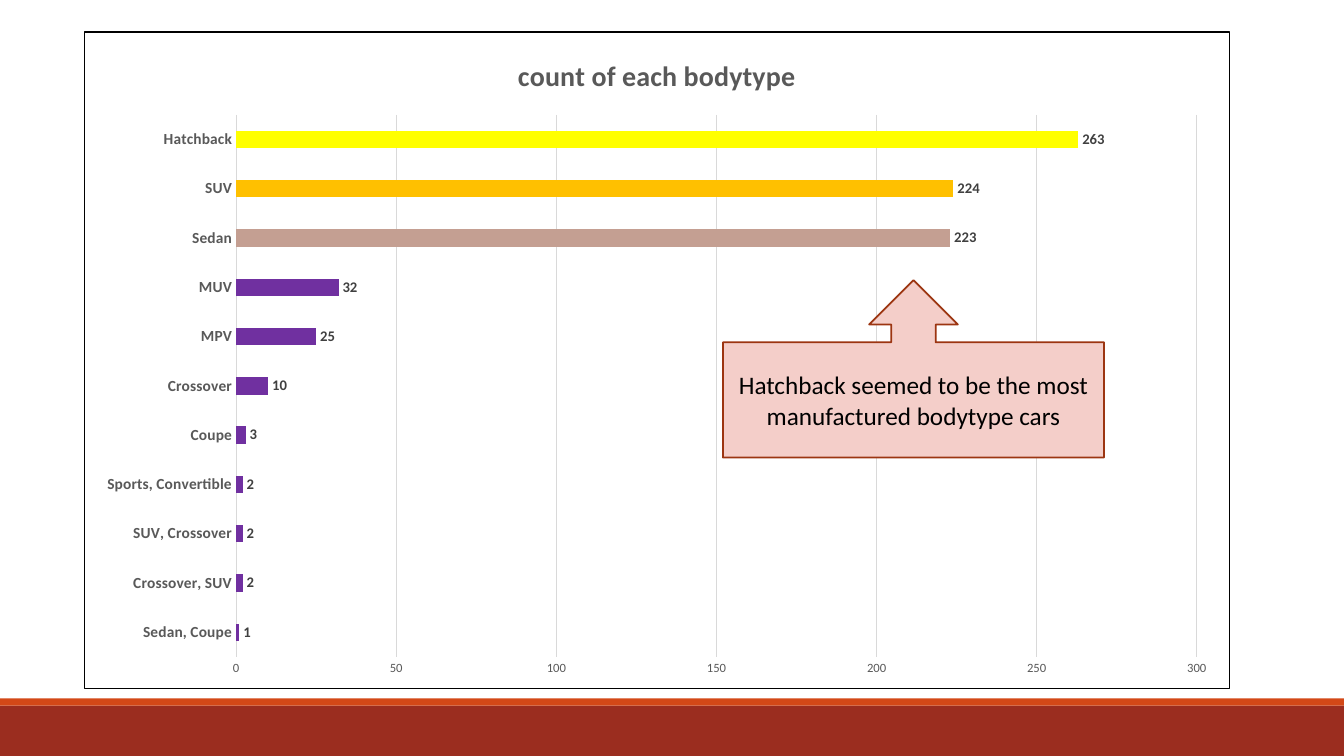
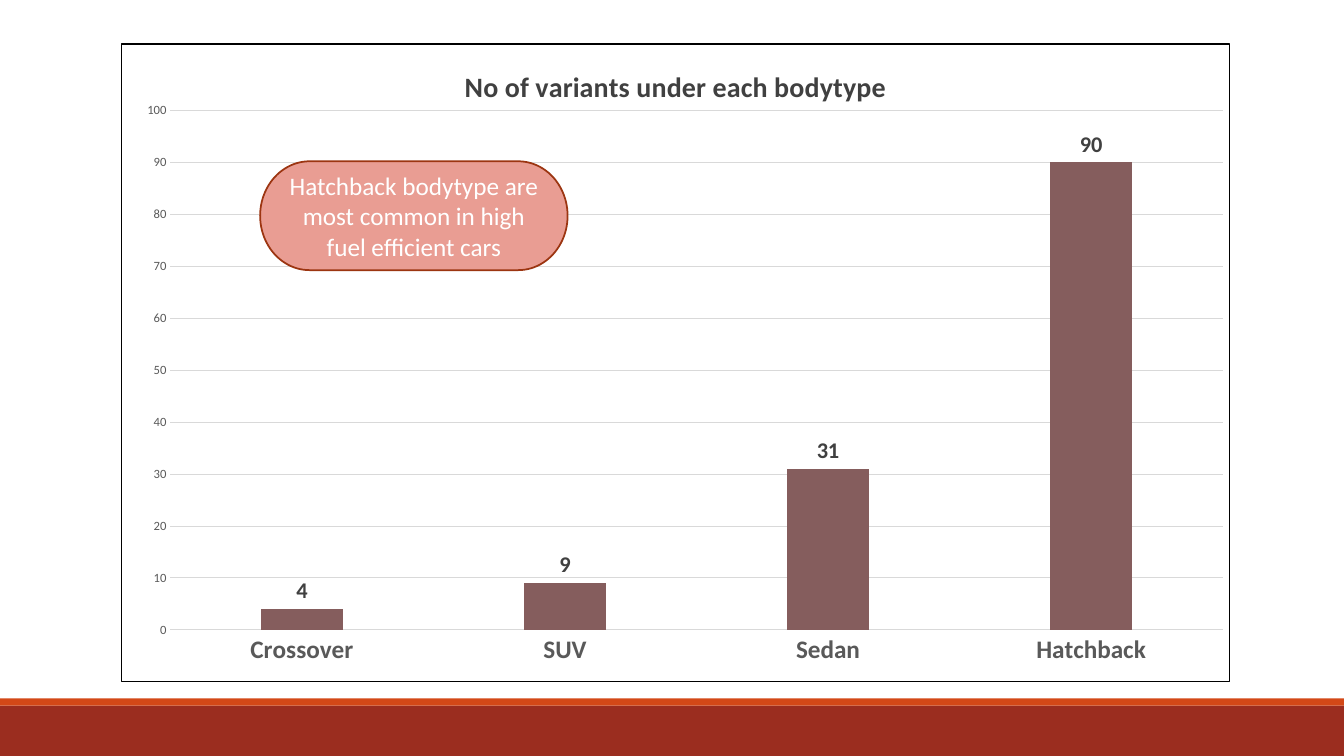
from pptx import Presentation
from pptx.chart.data import CategoryChartData
from pptx.dml.color import RGBColor
from pptx.enum.chart import XL_CHART_TYPE, XL_LABEL_POSITION, XL_TICK_MARK
from pptx.enum.shapes import MSO_SHAPE
from pptx.enum.text import MSO_ANCHOR, PP_ALIGN
from pptx.oxml import parse_xml
from pptx.oxml.ns import nsdecls, qn
from pptx.util import Inches, Pt

BAR, COLUMN = XL_CHART_TYPE.BAR_CLUSTERED, XL_CHART_TYPE.COLUMN_CLUSTERED
OUTSIDE_END = XL_LABEL_POSITION.OUTSIDE_END
NO_TICK = XL_TICK_MARK.NONE
RECTANGLE = MSO_SHAPE.RECTANGLE
UP_ARROW_CALLOUT = MSO_SHAPE.UP_ARROW_CALLOUT
TERMINATOR = MSO_SHAPE.FLOWCHART_TERMINATOR
MIDDLE, CENTER = MSO_ANCHOR.MIDDLE, PP_ALIGN.CENTER

FONT = "Calibri"
WIDTH, HEIGHT = 13.33, 7.5
FOOTER_HEIGHT, ACCENT_HEIGHT = 0.5, 0.07
FOOTER, ACCENT, OUTLINE = "9B2D1F", "D34817", "9C3511"
GRID, AXIS_TEXT, LABEL_TEXT = "D9D9D9", "595959", "404040"
BLACK, WHITE = "000000", "FFFFFF"


def color(hex_text):
    return RGBColor.from_string(hex_text)


def set_font(font, size, hex_text, bold=False):
    font.name = FONT
    font.size = Pt(size)
    font.bold = bold
    font.color.rgb = color(hex_text)


def set_line(line, hex_text, width):
    line.color.rgb = color(hex_text)
    line.width = Pt(width)


def add_filled_shape(slide, kind, box, fill):
    shape = slide.shapes.add_shape(kind, *map(Inches, box))
    shape.shadow.inherit = False
    shape.fill.solid()
    shape.fill.fore_color.rgb = color(fill)
    shape.line.fill.background()
    return shape


def add_footer(slide):
    top = HEIGHT - FOOTER_HEIGHT
    add_filled_shape(slide, RECTANGLE, (0, top, WIDTH, FOOTER_HEIGHT), FOOTER)
    add_filled_shape(
        slide, RECTANGLE, (0, top - ACCENT_HEIGHT, WIDTH, ACCENT_HEIGHT), ACCENT
    )


def add_callout(slide, kind, box, fill, text, text_color):
    shape = add_filled_shape(slide, kind, box, fill)
    set_line(shape.line, OUTLINE, 1.25)
    frame = shape.text_frame
    frame.word_wrap = True
    frame.vertical_anchor = MIDDLE
    paragraph = frame.paragraphs[0]
    paragraph.text = text
    paragraph.alignment = CENTER
    set_font(paragraph.font, 18, text_color)


def frame_chart(chart):
    properties = parse_xml(
        f"<c:spPr {nsdecls('c', 'a')}>"
        f'<a:solidFill><a:srgbClr val="{WHITE}"/></a:solidFill>'
        f'<a:ln w="{Pt(1)}"><a:solidFill><a:srgbClr val="{BLACK}"/></a:solidFill></a:ln>'
        "</c:spPr>"
    )
    chart.element.find(qn("c:chart")).addnext(properties)


def place_plot(chart, plot_box):
    plot_area = chart.element.find(qn("c:chart")).find(qn("c:plotArea"))
    for layout in plot_area.findall(qn("c:layout")):
        plot_area.remove(layout)
    sides = "".join(
        f'<c:{side} val="{value}"/>' for side, value in zip("xywh", plot_box)
    )
    plot_area.insert(0, parse_xml(
        f"<c:layout {nsdecls('c')}><c:manualLayout>"
        '<c:layoutTarget val="inner"/><c:xMode val="edge"/><c:yMode val="edge"/>'
        f"{sides}</c:manualLayout></c:layout>"
    ))


def style_axes(chart, category_size, maximum, step):
    category_axis, value_axis = chart.category_axis, chart.value_axis
    for axis in (category_axis, value_axis):
        axis.major_tick_mark = axis.minor_tick_mark = NO_TICK
    category_axis.has_major_gridlines = False
    set_font(category_axis.tick_labels.font, category_size, AXIS_TEXT, True)
    set_line(category_axis.format.line, GRID, 0.75)
    value_axis.minimum_scale = 0
    value_axis.maximum_scale = maximum
    value_axis.major_unit = step
    value_axis.has_major_gridlines = True
    set_line(value_axis.major_gridlines.format.line, GRID, 0.75)
    set_font(value_axis.tick_labels.font, 9, AXIS_TEXT)
    value_axis.format.line.fill.background()


def add_count_chart(slide, kind, box, title, title_color, counts, fill,
                    category_size, label_size, maximum, step, gap,
                    overlap=0, point_fills=None, plot_box=None):
    data = CategoryChartData()
    data.categories = list(counts)
    data.add_series("Series 1", list(counts.values()))
    chart = slide.shapes.add_chart(kind, *map(Inches, box), data).chart
    set_font(chart.font, 10, BLACK)
    chart.has_legend = False
    chart.has_title = True
    chart.chart_title.include_in_layout = False
    paragraph = chart.chart_title.text_frame.paragraphs[0]
    paragraph.text = title
    set_font(paragraph.font, 20, title_color, True)
    style_axes(chart, category_size, maximum, step)

    plot = chart.plots[0]
    plot.vary_by_categories = False
    plot.gap_width = gap
    plot.overlap = overlap
    plot.has_data_labels = True
    labels = plot.data_labels
    labels.show_value = True
    labels.position = OUTSIDE_END
    set_font(labels.font, label_size, LABEL_TEXT, True)

    series = plot.series[0]
    series.invert_if_negative = False
    series.format.fill.solid()
    series.format.fill.fore_color.rgb = color(fill)
    for category, point_fill in (point_fills or {}).items():
        point = series.points[list(counts).index(category)]
        point.format.fill.solid()
        point.format.fill.fore_color.rgb = color(point_fill)

    frame_chart(chart)
    if plot_box:
        place_plot(chart, plot_box)


def add_slide(presentation):
    slide = presentation.slides.add_slide(presentation.slide_layouts[6])
    add_footer(slide)
    return slide


def build_bodytype_slide(presentation):
    slide = add_slide(presentation)
    counts = {
        "Sedan, Coupe": 1, "Crossover, SUV": 2, "SUV, Crossover": 2,
        "Sports, Convertible": 2, "Coupe": 3, "Crossover": 10, "MPV": 25,
        "MUV": 32, "Sedan": 223, "SUV": 224, "Hatchback": 263,
    }
    add_count_chart(
        slide, BAR, (0.83, 0.31, 11.37, 6.53),
        "count of each bodytype", AXIS_TEXT, counts, "7030A0",
        category_size=11, label_size=10.5, maximum=300, step=50, gap=182,
        point_fills={"Sedan": "C49F92", "SUV": "FFC000", "Hatchback": "FFFF00"},
    )
    add_callout(
        slide, UP_ARROW_CALLOUT, (7.17, 2.78, 3.78, 1.76), "F4CEC9",
        "Hatchback seemed to be the most manufactured bodytype cars", BLACK,
    )


def build_variants_slide(presentation):
    slide = add_slide(presentation)
    counts = {"Crossover": 4, "SUV": 9, "Sedan": 31, "Hatchback": 90}
    add_count_chart(
        slide, COLUMN, (1.2, 0.43, 11, 6.34),
        "No of variants under each bodytype", LABEL_TEXT, counts, "855D5D",
        category_size=18, label_size=16, maximum=100, step=10, gap=219,
        overlap=-27, plot_box=(0.044, 0.104, 0.95, 0.815),
    )
    add_callout(
        slide, TERMINATOR, (2.58, 1.6, 3.05, 1.08), "E99D93",
        "Hatchback bodytype are most common in high fuel efficient cars", WHITE,
    )


def main():
    presentation = Presentation()
    presentation.slide_width = Inches(WIDTH)
    presentation.slide_height = Inches(HEIGHT)
    build_bodytype_slide(presentation)
    build_variants_slide(presentation)
    presentation.save("out.pptx")


if __name__ == "__main__":
    main()
